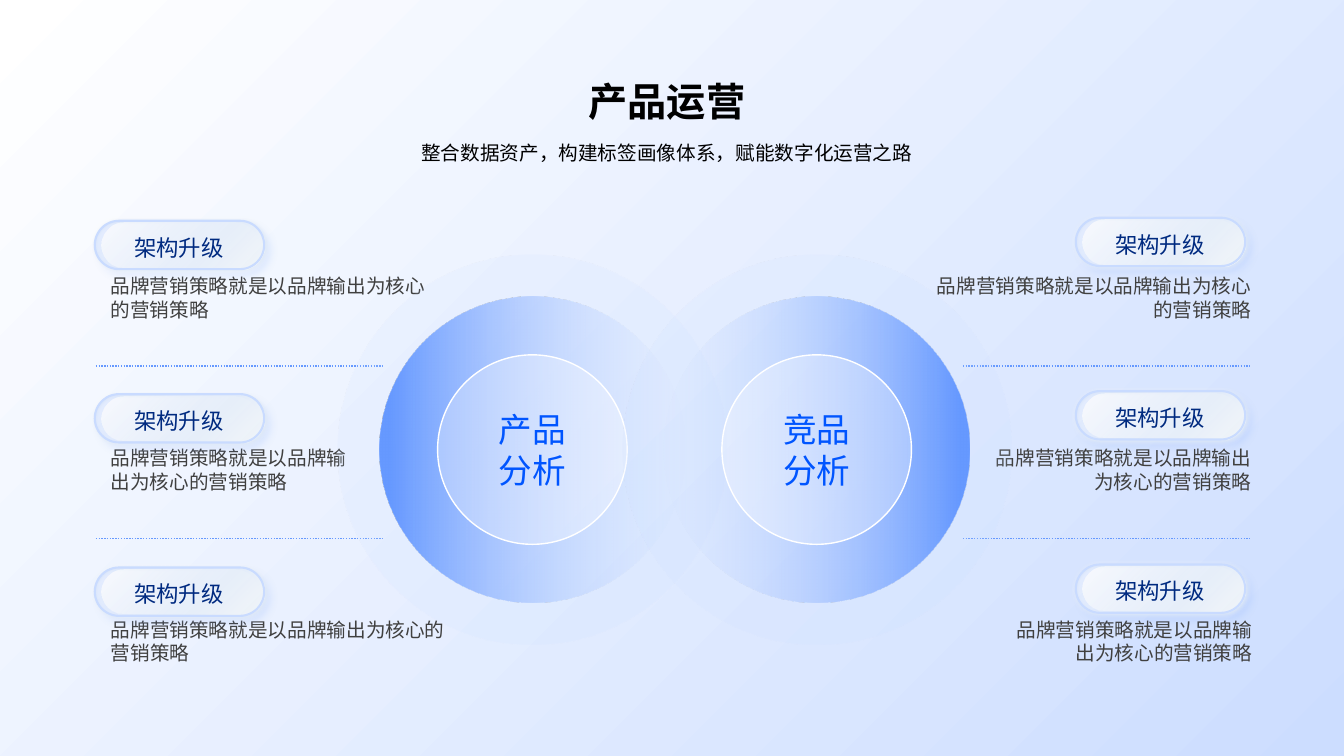
from pptx import Presentation
from pptx.dml.color import RGBColor
from pptx.enum.dml import MSO_LINE
from pptx.enum.shapes import MSO_CONNECTOR, MSO_SHAPE
from pptx.enum.text import MSO_AUTO_SIZE, PP_ALIGN
from pptx.oxml import parse_xml
from pptx.oxml.ns import nsdecls, qn
from pptx.util import Inches, Pt

OVAL = MSO_SHAPE.OVAL
ROUNDED = MSO_SHAPE.ROUNDED_RECTANGLE
STRAIGHT = MSO_CONNECTOR.STRAIGHT
DOTTED = MSO_LINE.ROUND_DOT
LEFT, CENTER, RIGHT = PP_ALIGN.LEFT, PP_ALIGN.CENTER, PP_ALIGN.RIGHT
GROW = MSO_AUTO_SIZE.SHAPE_TO_FIT_TEXT

BLACK = RGBColor(0x00, 0x00, 0x00)
WHITE = RGBColor(0xFF, 0xFF, 0xFF)
GREY = RGBColor(0x40, 0x40, 0x40)
NAVY = RGBColor(0x00, 0x2A, 0x80)
BLUE = RGBColor(0x00, 0x55, 0xFF)
SKY = RGBColor(0x66, 0x99, 0xFF)
PALE = RGBColor(0xCC, 0xDD, 0xFF)
ICE = RGBColor(0xE3, 0xEC, 0xFF)
MIST = RGBColor(0xF0, 0xF5, 0xFA)
EDGE = RGBColor(0xD7, 0xE1, 0xF2)
RIM = RGBColor(0xC9, 0xDB, 0xFF)
STEEL = RGBColor(0x78, 0xA6, 0xD3)

LABEL = "架构升级"
DETAIL = "品牌营销策略就是以品牌输出为核心的营销策略"


def set_gradient(fill, holder, stops, angle=None, focus=None):
    """Stops are (position, colour, opacity) in percent; focus is a left, top,
    right, bottom rectangle in percent for a radial gradient."""
    fill.background()
    marks = "".join(
        f'<a:gs pos="{position * 1000}"><a:srgbClr val="{color}">'
        f'<a:alpha val="{opacity * 1000}"/></a:srgbClr></a:gs>'
        for position, color, opacity in stops)
    if focus:
        left, top, right, bottom = (side * 1000 for side in focus)
        shade = (f'<a:path path="circle"><a:fillToRect l="{left}" t="{top}" '
                 f'r="{right}" b="{bottom}"/></a:path>')
    else:
        shade = f'<a:lin ang="{angle * 60000}" scaled="0"/>'
    gradient = parse_xml(f'<a:gradFill {nsdecls("a")} rotWithShape="1">'
                         f'<a:gsLst>{marks}</a:gsLst>{shade}</a:gradFill>')
    holder.replace(holder.find(qn("a:noFill")), gradient)


def add_text(place, lines, size, color, align, font="Roboto"):
    box = slide.shapes.add_textbox(*map(Inches, place))
    frame = box.text_frame
    frame.word_wrap = True
    frame.auto_size = GROW
    frame.text = lines
    for para in frame.paragraphs:
        para.alignment = align
        para.font.size = Pt(size)
        para.font.name = font
        para.font.color.rgb = color
    return frame


deck = Presentation()
deck.slide_width, deck.slide_height = Inches(13.33), Inches(7.5)
slide = deck.slides.add_slide(deck.slide_layouts[6])
backdrop = slide.background.fill
set_gradient(backdrop, slide.element.find(".//" + qn("p:bgPr")),
             [(0, WHITE, 100), (100, PALE, 56)], focus=(0, 0, 100, 100))

# Descriptions beside the circles
for row, (left_width, right_start, right_width) in enumerate(
        [(3.4, 9.19, 3.32), (2.73, 9.59, 2.92), (3.68, 9.89, 2.63)]):
    top = 2.67 + 1.705 * row
    add_text((1, top, left_width, 0.57), DETAIL, 14, GREY, LEFT)
    add_text((right_start, top, right_width, 0.57), DETAIL, 14, GREY, RIGHT)

# Dotted dividers between the rows
for start in (0.95, 9.55):
    for y in (3.63, 5.34):
        divider = slide.shapes.add_connector(
            STRAIGHT, Inches(start), Inches(y), Inches(start + 2.84), Inches(y))
        divider.line.color.rgb = SKY
        divider.line.width = Pt(1)
        divider.line.dash_style = DOTTED
        divider.element.spPr.append(parse_xml(f'<a:effectLst {nsdecls("a")}/>'))

# Two overlapping circles: halo, ring and core share one centre
for center_x, caption, angle in [(5.28, "产品\n分析", 180), (8.1, "竞品\n分析", 0)]:
    center_y = 4.46
    halo, ring, core = [
        slide.shapes.add_shape(OVAL, Inches(center_x - size / 2),
                               Inches(center_y - size / 2), Inches(size), Inches(size))
        for size in (3.86, 3.03, 1.88)]
    for circle in (halo, ring, core):
        circle.shadow.inherit = False
        circle.line.fill.background()
    halo.rotation = 329
    set_gradient(halo.fill, halo.element.spPr,
                 [(53, PALE, 12), (100, BLUE, 0)], focus=(50, 50, 50, 50))
    set_gradient(ring.fill, ring.element.spPr,
                 [(0, PALE, 0), (97, SKY, 100)], angle)
    set_gradient(core.fill, core.element.spPr,
                 [(0, WHITE, 31), (100, WHITE, 31)], 0)
    core.line.color.rgb = WHITE
    core.line.width = Pt(1)
    add_text((center_x - 0.77, 4.01, 1.54, 0.91), caption, 24, BLUE, CENTER,
             "Noto Sans CJK SC")

# Pill layers: inset, gradient stops, line (colour, width),
# shadow (colour, opacity, blur, distance)
PILL_LAYERS = [
    ((0, 0), [(0, SKY, 100), (100, PALE, 100)], (EDGE, 0.5), (SKY, 17, 6, 6)),
    ((0, 0), [(4, ICE, 100), (71, PALE, 100), (99, WHITE, 100)],
     (EDGE, 0.5), (WHITE, 100, 4, 1)),
    ((0.07, 0.02), [(0, WHITE, 84), (100, WHITE, 0)], None, None),
    ((0, 0), [(0, WHITE, 0), (100, MIST, 100)], (RIM, 1.5), (STEEL, 14, 2, 1)),
]
for left, first_top in [(0.94, 2.19), (10.67, 2.16)]:
    for row in range(3):
        top = first_top + 1.72 * row
        for (inset_x, inset_y), stops, outline, glow in PILL_LAYERS:
            pill = slide.shapes.add_shape(
                ROUNDED, Inches(left + inset_x), Inches(top + inset_y),
                Inches(1.68 - 2 * inset_x), Inches(0.48 - 2 * inset_y))
            pill.adjustments[0] = 0.5
            pill.shadow.inherit = False
            set_gradient(pill.fill, pill.element.spPr, stops, 45)
            if outline:
                pill.line.color.rgb, pill.line.width = outline[0], Pt(outline[1])
            else:
                pill.line.fill.background()
            if glow:
                color, opacity, blur, distance = glow
                pill.element.spPr.find(qn("a:effectLst")).append(parse_xml(
                    f'<a:outerShdw {nsdecls("a")} blurRad="{Pt(blur)}" '
                    f'dist="{Pt(distance)}" dir="2700000" algn="tl" rotWithShape="0">'
                    f'<a:srgbClr val="{color}"><a:alpha val="{opacity * 1000}"/>'
                    '</a:srgbClr></a:outerShdw>'))
        add_text((left + 0.22, top + 0.08, 1.23, 0.37), LABEL, 16, NAVY, CENTER)

# Heading
title = add_text((3.66, 0.72, 6.01, 0.57), "产品运营", 28, BLACK, CENTER)
title.paragraphs[0].font.bold = True
subtitle = add_text((3.33, 1.23, 6.67, 0.41),
                    "整合数据资产，构建标签画像体系，赋能数字化运营之路", 14, BLACK, CENTER)
subtitle.paragraphs[0].line_spacing = 1.5
for frame in (title, subtitle):
    frame.margin_left = 0

deck.save("out.pptx")
